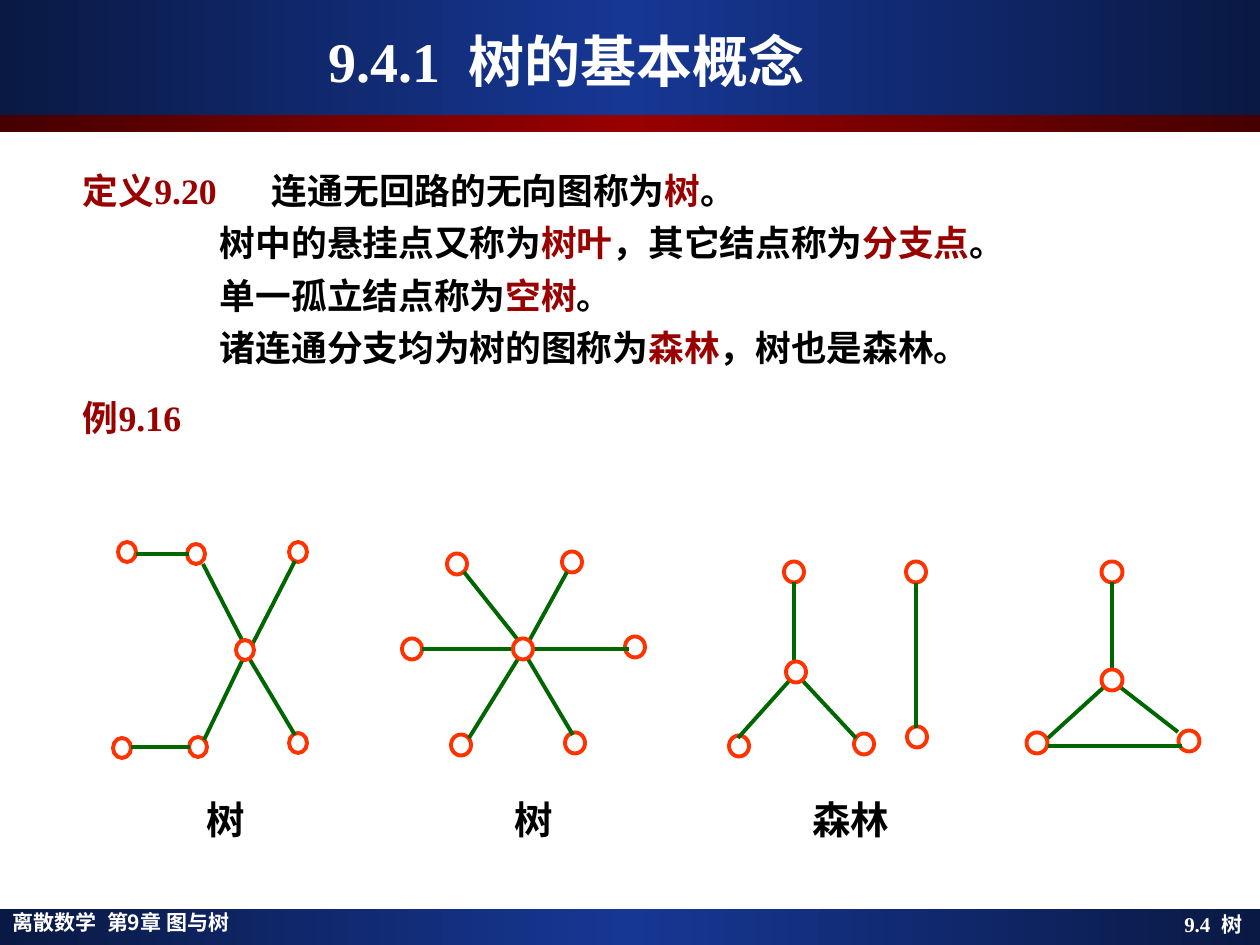
"""Build the slide on the basic concepts of trees."""
import copy

import pptx
import pptx.util
from lxml import etree
from pptx.dml.color import RGBColor
from pptx.enum.dml import MSO_FILL
from pptx.enum.shapes import MSO_CONNECTOR, MSO_SHAPE
from pptx.enum.text import MSO_ANCHOR, MSO_AUTO_SIZE, PP_ALIGN
from pptx.oxml.ns import qn

THEME = {
    "navy": "0A1944", "blue": "163794", "maroon": "460000", "red": "990000",
    "white": "FFFFFF", "black": "000000", "node": "FF3300", "edge": "006600",
    "serif": "Times New Roman", "sans": "Noto Sans CJK JP",
    "title": 32, "body": 20.4, "caption": 22, "footer": 12,
    "line": 2.25, "leading": 30, "example_gap": 9.7,
}

W, H = 1260, 945
BANDS = [
    ((0, 909, W, 36), "navy", "blue"),
    ((0, 0, W, 115), "navy", "blue"),
    ((0, 115, W, 17), "maroon", "red"),
]
TITLE = ["9.4.1", " ", "树的基本概念"]
CHAPTER = ["离散数学", " ", "第9章 图与树"]
SECTION = ["9.4", " ", "树"]

TERM_TAB, HANGING = 169, 137
BODY = [
    (0, [("定义9.20\t", "red"), ("连通无回路的无向图称为", "black"),
         ("树", "red"), ("。", "black")]),
    (HANGING, [("树中的悬挂点又称为", "black"), ("树叶", "red"),
               ("，其它结点称为", "black"), ("分支点", "red"), ("。", "black")]),
    (HANGING, [("单一孤立结点称为", "black"), ("空树", "red"), ("。", "black")]),
    (HANGING, [("诸连通分支均为树的图称为", "black"), ("森林", "red"),
               ("，树也是森林。", "black")]),
    (0, [("例9.16", "red")]),
]

GRAPHS = [
    {"size": (18, 20), "filled": True,
     "nodes": [(127, 552), (196, 554), (122, 748), (198, 747), (298, 552), (298, 743)],
     "hub": (245, 650),
     "edges": [(136, 554, 189, 554), (131, 747, 190, 747), (203, 564, 242, 640),
               (243, 659, 204, 740), (295, 561, 252, 645), (249, 658, 295, 735)]},
    {"size": (20, 21), "filled": True,
     "nodes": [(457, 564), (412, 649), (461, 745), (575, 743), (635, 647), (572, 562)],
     "hub": (523, 649),
     "edges": [(422, 649, 629, 649), (567, 572, 528, 643), (518, 659, 469, 738),
               (464, 572, 518, 640), (528, 659, 573, 735)]},
    {"size": (20, 21), "filled": True,
     "nodes": [(916, 572), (917, 737), (794, 572), (739, 746), (864, 744)],
     "hub": (796, 672),
     "edges": [(794, 582, 794, 661), (801, 679, 856, 738), (790, 680, 738, 738),
               (916, 583, 916, 728)]},
    {"size": (21, 21), "filled": False,
     "nodes": [(1112, 572), (1037, 743), (1189, 741)],
     "hub": (1112, 680),
     "edges": [(1112, 582, 1112, 669), (1048, 746, 1182, 746), (1103, 688, 1048, 738),
               (1120, 687, 1178, 732)]},
]
CAPTIONS = [(193, "树"), (501, "树"), (799, "森林")]


def px(*lengths):
    return [pptx.util.Emu(round(n * 914400 / 126)) for n in lengths]


def color(name):
    return RGBColor.from_string(THEME[name])


def add_band(s, box, edge, middle):
    sp = s.shapes.add_shape(MSO_SHAPE.RECTANGLE, *px(*box))
    sp.shadow.inherit = False
    sp.line.fill.background()
    sp.fill.gradient()
    sp.fill.gradient_angle = 0
    stops = next(sp._element.iter(qn("a:gsLst")))
    stops.append(copy.deepcopy(stops[0]))
    for stop, pos, name in zip(sp.fill.gradient_stops, (0, 0.5, 1), (edge, middle, edge)):
        stop.position = pos
        stop.color.rgb = color(name)


def set_frame(sp, insets, anchor=MSO_ANCHOR.TOP):
    tf = sp.text_frame
    tf.word_wrap = True
    tf.auto_size = MSO_AUTO_SIZE.NONE
    tf.vertical_anchor = anchor
    tf.margin_left, tf.margin_top, tf.margin_right, tf.margin_bottom = px(*insets)
    return tf


def add_runs(p, runs, size, font="serif"):
    for text, name in runs:
        r = p.add_run()
        r.text = text
        r.font.size = pptx.util.Pt(THEME[size])
        r.font.bold = True
        r.font.name = THEME[font]
        r.font.color.rgb = color(name)
        etree.SubElement(r.font._element, qn("a:ea"), typeface=THEME["sans"])
        if text == " ":
            r.font._element.set("spc", str(THEME[size] * 25))


def add_text(s, box, insets, runs, size, font="serif", align=PP_ALIGN.LEFT):
    tf = set_frame(s.shapes.add_textbox(*px(*box)), insets)
    p = tf.paragraphs[0]
    p.alignment = align
    add_runs(p, runs, size, font)


def white(parts):
    return [(text, "white") for text in parts]


def add_title(s):
    sp = s.shapes.title
    s.shapes._spTree.append(sp._element)
    sp.left, sp.top, sp.width, sp.height = px(42, 21, 1165, 78)
    p = set_frame(sp, (13, 6, 129, 6), MSO_ANCHOR.MIDDLE).paragraphs[0]
    p.alignment = PP_ALIGN.CENTER
    add_runs(p, white(TITLE), "title")


def add_body(s):
    tf = set_frame(s.shapes.add_textbox(*px(63, 159, 1134, 353)), (20, 0, 13, 6))
    for i, (indent, runs) in enumerate(BODY):
        p = tf.add_paragraph() if i else tf.paragraphs[0]
        p.line_spacing = pptx.util.Pt(THEME["leading"])
        if i == len(BODY) - 1:
            p.space_before = pptx.util.Pt(THEME["example_gap"])
        pPr = p._p.get_or_add_pPr()
        pPr.set("marL", str(px(indent)[0]))
        pPr.set("indent", "0")
        if "\t" in runs[0][0]:
            tabs = etree.SubElement(pPr, qn("a:tabLst"))
            etree.SubElement(tabs, qn("a:tab"), pos=str(px(TERM_TAB)[0]), algn="l")
        add_runs(p, runs, "body")


def add_node(group, center, size, filled):
    (x, y), (w, h) = center, size
    sp = group.shapes.add_shape(MSO_SHAPE.OVAL, *px(x - w / 2, y - h / 2, w, h))
    sp.shadow.inherit = False
    if filled:
        sp.fill.solid()
        sp.fill.fore_color.rgb = color("white")
    else:
        sp.fill.background()
    sp.line.color.rgb = color("node")
    sp.line.width = pptx.util.Pt(THEME["line"])


def add_edge(group, ends):
    line = group.shapes.add_connector(MSO_CONNECTOR.STRAIGHT, *px(*ends))
    line.line.color.rgb = color("edge")
    line.line.width = pptx.util.Pt(THEME["line"])
    etree.SubElement(line._element.spPr, qn("a:effectLst"))


def add_graph(s, graph):
    group = s.shapes.add_group_shape()
    for center in graph["nodes"]:
        add_node(group, center, graph["size"], graph["filled"])
    for ends in graph["edges"]:
        add_edge(group, ends)
    add_node(group, graph["hub"], graph["size"], graph["filled"])


def main():
    prs = pptx.Presentation()
    prs.slide_width, prs.slide_height = px(W, H)
    s = prs.slides.add_slide(prs.slide_layouts[5])
    for band in BANDS:
        add_band(s, *band)
    add_text(s, (0, 910, 520, 35), (13, 0, 13, 0), white(CHAPTER), "footer", "sans")
    add_body(s)
    add_title(s)
    add_text(s, (937, 910, 323, 35), (13, 2, 18, 0), white(SECTION), "footer",
             align=PP_ALIGN.RIGHT)
    for graph in GRAPHS:
        add_graph(s, graph)
    for x, text in CAPTIONS:
        add_text(s, (x, 790, 110, 49), (13, 6, 13, 6), [(text, "black")], "caption")
    prs.save("out.pptx")


if __name__ == "__main__":
    main()
